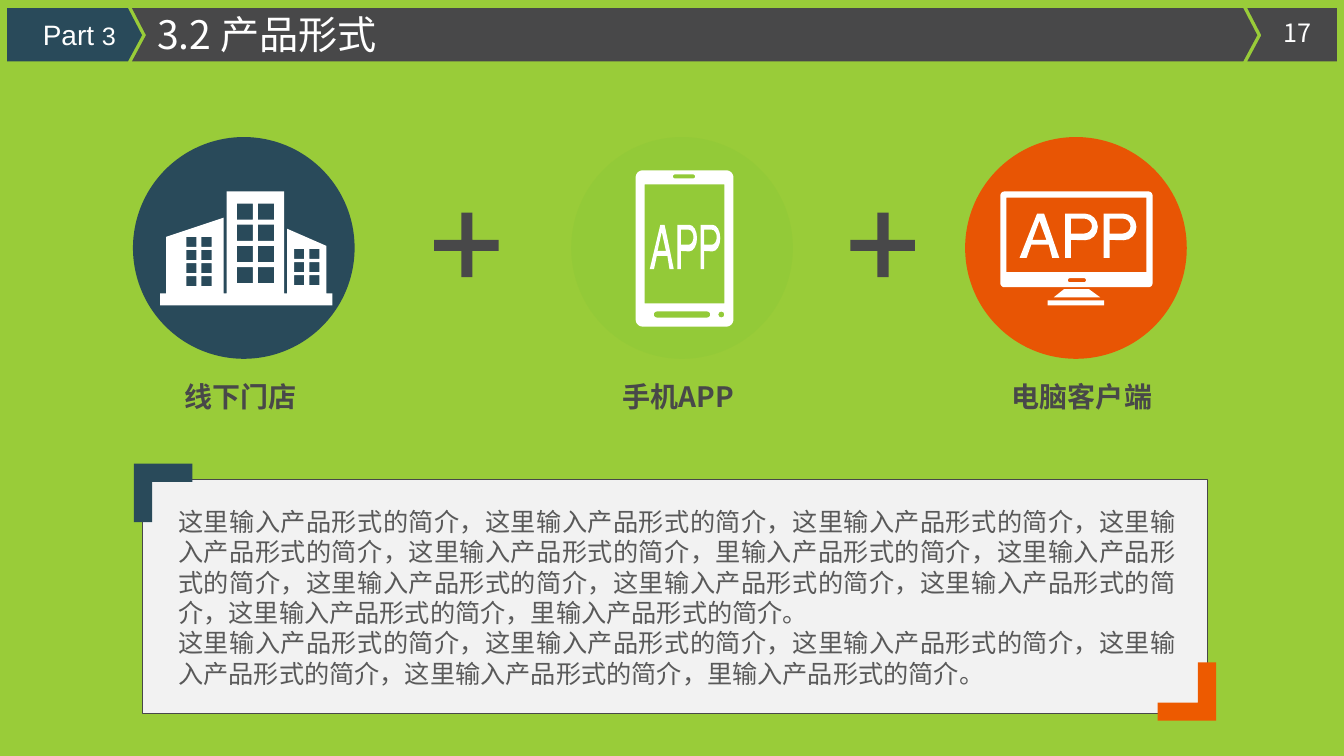
"""Build the product form slide: three channels joined by plus signs above a description."""
from math import cos, pi, sin

from pptx import Presentation
from pptx.dml.color import RGBColor
from pptx.enum.shapes import MSO_SHAPE
from pptx.enum.text import MSO_ANCHOR, MSO_AUTO_SIZE, PP_ALIGN
from pptx.oxml.xmlchemy import OxmlElement
from pptx.util import Inches, Pt

OVAL = MSO_SHAPE.OVAL
LEFT, CENTER, RIGHT, JUSTIFY = PP_ALIGN.LEFT, PP_ALIGN.CENTER, PP_ALIGN.RIGHT, PP_ALIGN.JUSTIFY
TOP, MIDDLE = MSO_ANCHOR.TOP, MSO_ANCHOR.MIDDLE
NO_FIT = MSO_AUTO_SIZE.NONE

COLORS = {"green": "99CC39", "soft_green": "93CA38", "navy": "294A5A", "orange": "E85504",
          "bright_orange": "ED5A00", "dark": "484849", "gray": "595959",
          "panel": "F2F2F2", "white": "FFFFFF"}
CJK, LATIN = "Noto Sans CJK SC", "Arial"

TITLE = "3.2 产品形式"
PART = [("Part ", 20), ("3", 18)]
PAGE = "17"
DESCRIPTION = [
    "这里输入产品形式的简介，这里输入产品形式的简介，这里输入产品形式的简介，这里输入产品形式的简介，"
    "这里输入产品形式的简介，里输入产品形式的简介，这里输入产品形式的简介，这里输入产品形式的简介，"
    "这里输入产品形式的简介，这里输入产品形式的简介，这里输入产品形式的简介，里输入产品形式的简介。",
    "这里输入产品形式的简介，这里输入产品形式的简介，这里输入产品形式的简介，这里输入产品形式的简介，"
    "这里输入产品形式的简介，里输入产品形式的简介。",
]
CHANNELS = [("线下门店", 1.32, 1.48, "navy"),
            ("手机APP", 5.67, 5.82, "soft_green"),
            ("电脑客户端", 9.58, 9.83, "orange")]
PLUS_LEFTS = [4.31, 8.44]
WINDOWS = [(1.85, 2.35, 0.15, 0.13, 4, 0.1),
           (2.35, 2.02, 0.21, 0.21, 4, 0.16),
           (2.92, 2.47, 0.15, 0.13, 3, 0.1)]


def arc(cx, cy, rx, ry, start, sweep, steps=8):
    angles = [start + sweep * i / steps for i in range(steps + 1)]
    return [(cx + rx * cos(a), cy + ry * sin(a)) for a in angles]


def rounded(left, top, width, height, radius):
    right, bottom = left + width - radius, top + height - radius
    corners = [(left + radius, top + radius), (right, top + radius),
               (right, bottom), (left + radius, bottom)]
    return [point for i, (cx, cy) in enumerate(corners)
            for point in arc(cx, cy, radius, radius, pi + i * pi / 2, pi / 2)]


def box(left, top, width, height):
    right, bottom = left + width, top + height
    return [(left, top), (right, top), (right, bottom), (left, bottom)]


def app_lettering(left, top, width, height):
    """Return the outlines of the letters A, P, P fitted to a frame."""
    letters = [[(0.1, 0.7), (0.25, 0.7), (0.28, 1), (0.34, 1), (0.21, 0), (0.15, 0), (0, 1), (0.06, 1)],
               [(0.23, 0.59), (0.11, 0.59), (0.17, 0.16)]]
    for x in (0.39, 0.72):
        letters += [[(x, 0), *arc(x + 0.17, 0.3, 0.11, 0.3, -pi / 2, pi),
                     (x + 0.05, 0.59), (x + 0.05, 1), (x, 1)],
                    [(x + 0.05, 0.11), *arc(x + 0.16, 0.28, 0.07, 0.17, -pi / 2, pi),
                     (x + 0.05, 0.45)]]
    return [[(left + x * width, top + y * height) for x, y in outline] for outline in letters]


def paint(shape, color):
    shape.shadow.inherit = False
    shape.fill.solid()
    shape.fill.fore_color.rgb = RGBColor.from_string(COLORS[color])
    shape.line.fill.background()


def draw(shapes, outlines, color):
    points = [[(Inches(x), Inches(y)) for x, y in outline] for outline in outlines]
    builder = shapes.build_freeform(*points[0][0])
    for i, outline in enumerate(points):
        if i:
            builder.move_to(*outline[0])
        builder.add_line_segments(outline[1:], close=True)
    paint(builder.convert_to_shape(), color)


def place(shape, left, top, width, height):
    shape.left, shape.top = Inches(left), Inches(top)
    shape.width, shape.height = Inches(width), Inches(height)


def write(shape, paragraphs, color, align, anchor=MIDDLE, font=CJK, bold=False, pitch=1.0):
    frame = shape.text_frame
    frame.word_wrap, frame.auto_size, frame.vertical_anchor = True, NO_FIT, anchor
    for i, runs in enumerate(paragraphs):
        paragraph = frame.add_paragraph() if i else frame.paragraphs[0]
        paragraph.alignment, paragraph.line_spacing = align, pitch
        paragraph.space_before = paragraph.space_after = Pt(0)
        for text, size in runs:
            run = paragraph.add_run()
            run.text = text
            run.font.size, run.font.bold, run.font.name = Pt(size), bold, font
            run.font.color.rgb = RGBColor.from_string(COLORS[color])
            east_asian = OxmlElement("a:ea")
            east_asian.set("typeface", font)
            run.font._element.append(east_asian)


def add_text(shapes, frame, runs, color, align, **style):
    write(shapes.add_textbox(*map(Inches, frame)), [runs], color, align, **style)


def add_header(slide):
    shapes, title = slide.shapes, slide.shapes.title
    top, middle, bottom, notch = 0.08, 0.35, 0.61, 0.14
    for left, right, color, notched, pointed in [(0.07, 1.27, "navy", 0, 1),
                                                 (1.31, 12.34, "dark", 1, 1),
                                                 (12.38, 13.27, "dark", 1, 0)]:
        draw(shapes, [[(left, top), (right, top), (right + notch * pointed, middle),
                       (right, bottom), (left, bottom), (left + notch * notched, middle)]], color)
    title.element.getparent().append(title.element)
    place(title, 1.46, 0.05, 5.51, 0.57)
    write(title, [[(TITLE, 28)]], "white", LEFT)
    add_text(shapes, (0.15, 0.12, 1.1, 0.44), PART, "white", RIGHT, font=LATIN)
    add_text(shapes, (12.58, 0.12, 0.6, 0.4), [(PAGE, 18)], "white", CENTER)


def add_channels(shapes):
    for label, circle_left, label_left, color in CHANNELS:
        paint(shapes.add_shape(OVAL, *map(Inches, (circle_left, 1.36, 2.2, 2.2))), color)
        add_text(shapes, (label_left, 3.71, 1.82, 0.44), [(label, 20)], "dark", CENTER, bold=True)

    store = [[(1.59, 2.91), (1.65, 2.91), (1.65, 2.35), (2.22, 2.16), (2.22, 2.91), (2.25, 2.91),
              (2.25, 1.9), (2.82, 1.9), (2.82, 2.91), (2.85, 2.91), (2.85, 2.27), (3.24, 2.44),
              (3.24, 2.91), (3.3, 2.91), (3.3, 3.03), (1.59, 3.03)]]
    store += [box(left + col * dx, top + row * dy, size, size)
              for left, top, dx, dy, rows, size in WINDOWS
              for row in range(rows) for col in range(2)]
    phone = [rounded(6.31, 1.69, 0.97, 1.55, 0.07), box(6.4, 1.83, 0.79, 1.18),
             rounded(6.68, 1.73, 0.22, 0.04, 0.02), rounded(6.49, 3.09, 0.56, 0.06, 0.03),
             arc(7.16, 3.12, 0.03, 0.03, 0, 2 * pi), *app_lettering(6.45, 2.23, 0.7, 0.44)]
    monitor = [rounded(9.93, 1.9, 1.51, 0.95, 0.04), box(9.99, 1.96, 1.39, 0.74),
               rounded(10.6, 2.76, 0.18, 0.04, 0.02), box(10.4, 2.98, 0.56, 0.05),
               [(10.56, 2.87), (10.81, 2.87), (10.92, 2.95), (10.46, 2.95)],
               *app_lettering(10.12, 2.12, 1.16, 0.44)]
    for icon in (store, phone, monitor):
        draw(shapes, icon, "white")

    near, far, end = 0.27, 0.38, 0.64
    plus = [(near, 0), (far, 0), (far, near), (end, near), (end, far), (far, far),
            (far, end), (near, end), (near, far), (0, far), (0, near), (near, near)]
    for left in PLUS_LEFTS:
        draw(shapes, [[(left + x, 2.11 + y) for x, y in plus]], "dark")


def add_description(slide):
    panel = slide.placeholders[1]
    panel.element.getparent().append(panel.element)
    place(panel, 1.41, 4.76, 10.58, 2.32)
    panel.fill.solid()
    panel.fill.fore_color.rgb = RGBColor.from_string(COLORS["panel"])
    panel.line.color.rgb = RGBColor.from_string(COLORS["dark"])
    panel.line.width = Pt(0.75)
    frame = panel.text_frame
    frame.margin_left, frame.margin_right, frame.margin_top = Inches(0.36), Inches(0.31), Inches(0.26)
    write(panel, [[(text, 18)] for text in DESCRIPTION], "gray", JUSTIFY, anchor=TOP, pitch=Pt(21.7))
    for paragraph in frame.paragraphs:
        properties = paragraph._p.get_or_add_pPr()
        properties.set("marL", "0")
        properties.set("indent", "0")
        properties.append(OxmlElement("a:buNone"))

    arm, thick = 0.58, 0.18
    bracket = [(0, 0), (arm, 0), (arm, thick), (thick, thick), (thick, arm), (0, arm)]
    for x0, y0, direction, color in [(1.33, 4.6, 1, "navy"), (12.07, 7.15, -1, "bright_orange")]:
        draw(slide.shapes, [[(x0 + direction * x, y0 + direction * y) for x, y in bracket]], color)


def main():
    deck = Presentation()
    deck.slide_width, deck.slide_height = Inches(13.34), Inches(7.5)
    slide = deck.slides.add_slide(deck.slide_layouts[1])
    slide.background.fill.solid()
    slide.background.fill.fore_color.rgb = RGBColor.from_string(COLORS["green"])
    add_header(slide)
    add_channels(slide.shapes)
    add_description(slide)
    deck.save("out.pptx")


if __name__ == "__main__":
    main()
